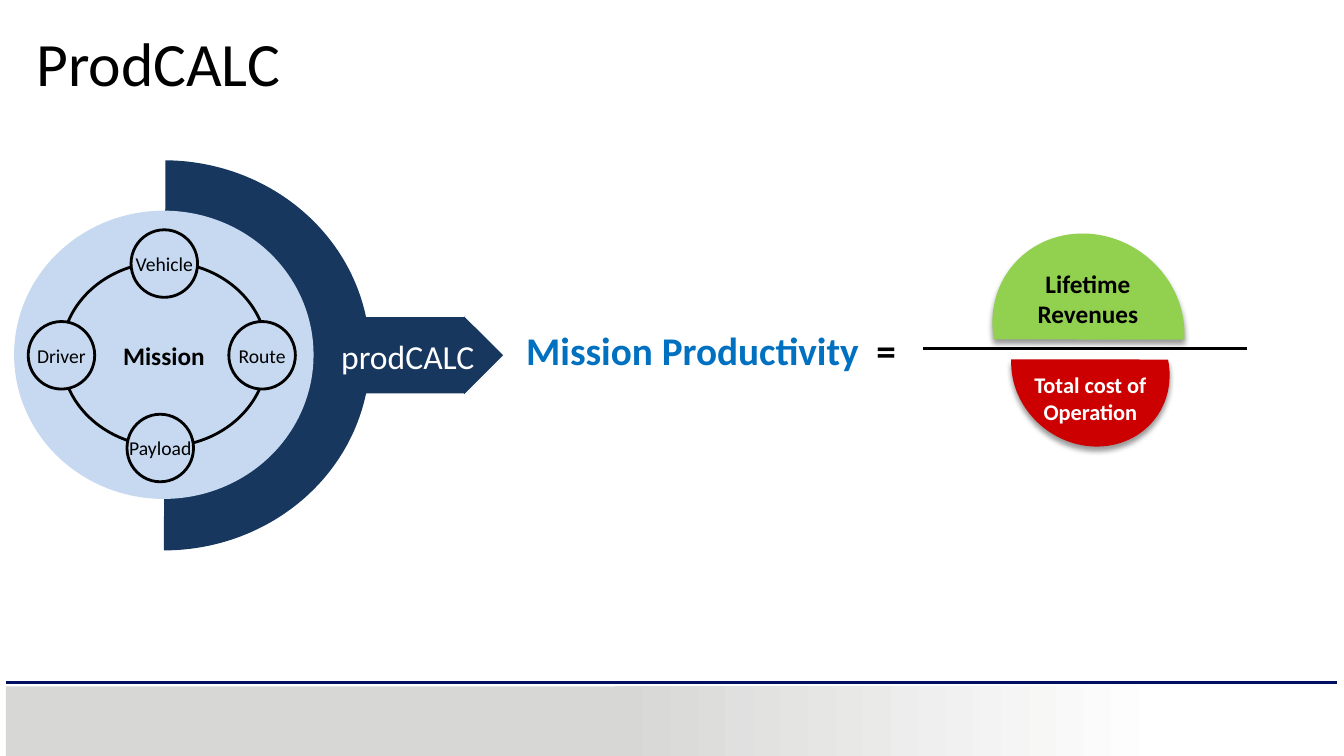
"""Build the ProdCALC mission productivity slide."""
from dataclasses import dataclass
from typing import Optional

from lxml.etree import SubElement
from pptx import Presentation
from pptx.dml.color import RGBColor
from pptx.enum.shapes import MSO_CONNECTOR, MSO_SHAPE
from pptx.enum.text import MSO_ANCHOR, PP_ALIGN
from pptx.oxml.ns import qn
from pptx.util import Inches, Pt

NAVY, PALE, BLACK, GREY, WHITE = "17375E", "C6D9F1", "000000", "D7D8D6", "FFFFFF"
Box = tuple[float, float, float, float]


@dataclass
class Form:
    """A preset shape with its look."""
    kind: MSO_SHAPE
    box: Box
    fill: Optional[str] = None
    line: Optional[str] = None
    turn: float = 0
    adjust: tuple[float, ...] = ()
    shadow: bool = False


@dataclass
class Label:
    """A text box made of runs of one size."""
    box: Box
    runs: tuple[tuple[str, str], ...]
    size: float
    bold: bool = False
    align: PP_ALIGN = PP_ALIGN.CENTER


@dataclass
class Rule:
    """A level line."""
    left: float
    right: float
    top: float
    hue: str
    width: float


@dataclass
class Node:
    """A named circle on the mission ring."""
    name: str
    left: float
    top: float


def paint(color, hue: str) -> None:
    """Give a colour format a hex value."""
    color.rgb = RGBColor.from_string(hue)


def style(item, values: dict) -> None:
    """Set each named value on an item."""
    for name, value in values.items():
        setattr(item, name, value)


def write(para, text: str, hue: str, size: float, bold: bool = False) -> None:
    """Add a formatted run to a paragraph."""
    run = para.add_run()
    run.text = text
    style(run.font, {"name": "Calibri", "size": Pt(size), "bold": bold})
    paint(run.font.color, hue)


def add_form(slide, form: Form):
    """Draw a preset shape."""
    shape = slide.shapes.add_shape(form.kind, *map(Inches, form.box))
    shape.shadow.inherit = False
    shape.rotation = form.turn
    for index, value in enumerate(form.adjust):
        shape.adjustments[index] = value
    if form.fill:
        shape.fill.solid()
        paint(shape.fill.fore_color, form.fill)
    else:
        shape.fill.background()
    if form.line:
        paint(shape.line.color, form.line)
        shape.line.width = Pt(2)
    else:
        shape.line.fill.background()
    if form.shadow:
        effect = shape._element.spPr.find(qn("a:effectLst"))
        outer = SubElement(effect, qn("a:outerShdw"), blurRad=str(Pt(4)),
                           dist=str(Pt(3)), dir="5400000", rotWithShape="0")
        tint = SubElement(outer, qn("a:srgbClr"), val=BLACK)
        SubElement(tint, qn("a:alpha"), val="40000")
    return shape


def add_rule(slide, rule: Rule) -> None:
    """Draw a level line."""
    ends = map(Inches, (rule.left, rule.top, rule.right, rule.top))
    line = slide.shapes.add_connector(MSO_CONNECTOR.STRAIGHT, *ends)
    paint(line.line.color, rule.hue)
    line.line.width = Pt(rule.width)
    SubElement(line._element.spPr, qn("a:effectLst"))


def add_label(slide, label: Label) -> None:
    """Draw a text box."""
    frame = slide.shapes.add_textbox(*map(Inches, label.box)).text_frame
    frame.word_wrap = True
    para = frame.paragraphs[0]
    para.alignment = label.align
    for text, hue in label.runs:
        write(para, text, hue, label.size, label.bold)


def add_node(slide, node: Node) -> None:
    """Draw a ring circle with its name centred."""
    side, width = 0.67, 0.9
    add_form(slide, Form(MSO_SHAPE.OVAL, (node.left, node.top, 0.66, side), PALE, BLACK))
    box = (node.left + (0.66 - width) / 2, node.top + 0.17, width, 0.34)
    add_label(slide, Label(box, ((node.name, BLACK),), 14))


def add_title(slide, text: str) -> None:
    """Place and fill the title."""
    title = slide.shapes.title
    style(title, {"left": Inches(0.26), "top": Inches(0.28),
                  "width": Inches(11.5), "height": Inches(1.45)})
    frame = title.text_frame
    style(frame, {"vertical_anchor": MSO_ANCHOR.TOP, "word_wrap": True})
    para = frame.paragraphs[0]
    style(para, {"alignment": PP_ALIGN.LEFT, "line_spacing": 0.9})
    write(para, text, BLACK, 44)


def add_foot(slide) -> None:
    """Draw the footer band and its line."""
    add_form(slide, Form(MSO_SHAPE.RECTANGLE, (0.06, 6.81, 6.13, 0.69), GREY))
    fade = add_form(slide, Form(MSO_SHAPE.RECTANGLE, (6.1, 6.81, 5.47, 0.69), GREY))
    fade.fill.gradient()
    fade.fill.gradient_angle = 0
    for stop, hue, place in zip(fade.fill.gradient_stops, (GREY, WHITE), (0, 1)):
        paint(stop.color, hue)
        stop.position = place
    add_rule(slide, Rule(0.06, 13.26, 6.77, "000F60", 2))


FORMS = [
    Form(MSO_SHAPE.CHORD, (10.07, 2.85, 1.49, 1.62), "CC0000", None, 308.1, (27, 143.23), True),
    Form(MSO_SHAPE.CHORD, (9.88, 2.28, 1.83, 1.95), "92D050", None, 128.2, (27, 143.23), True),
    Form(MSO_SHAPE.CHORD, (-0.42, 1.59, 4.09, 3.87), NAVY, None, 180, (54.28, 162)),
    Form(MSO_SHAPE.RIGHT_ARROW, (3.56, 3.14, 1.43, 0.77), NAVY, None, 0, (0.98, 0.5)),
    Form(MSO_SHAPE.OVAL, (0.14, 2.09, 2.97, 2.86), PALE),
    Form(MSO_SHAPE.OVAL, (0.61, 2.6, 2.04, 1.83), None, BLACK),
]
LABELS = [
    Label((5.12, 3.19, 4.15, 0.57), (("Mission Productivity  ", "0070C0"), ("=", BLACK)),
          28, True, PP_ALIGN.LEFT),
    Label((10.14, 2.61, 1.3, 0.61), (("Lifetime Revenues", BLACK),), 18, True),
    Label((10.13, 3.63, 1.37, 0.64), (("Total cost of Operation", WHITE),), 16, True),
    Label((1.07, 3.33, 1.11, 0.38), (("Mission", BLACK),), 18, True),
    Label((3.18, 3.28, 1.73, 0.48), (("prodCALC", WHITE),), 24),
]
NODES = [
    Node("Vehicle", 1.3, 2.28),
    Node("Route", 2.27, 3.19),
    Node("Payload", 1.26, 4.11),
    Node("Driver", 0.28, 3.19),
]


def main() -> None:
    """Build and save the slide."""
    deck = Presentation()
    style(deck, {"slide_width": Inches(13.33), "slide_height": Inches(7.5)})
    slide = deck.slides.add_slide(deck.slide_layouts[5])
    add_foot(slide)
    add_title(slide, "ProdCALC")
    for form in FORMS:
        add_form(slide, form)
    add_rule(slide, Rule(9.15, 12.37, 3.46, BLACK, 2.25))
    for label in LABELS:
        add_label(slide, label)
    for node in NODES:
        add_node(slide, node)
    deck.save("out.pptx")


if __name__ == "__main__":
    main()
